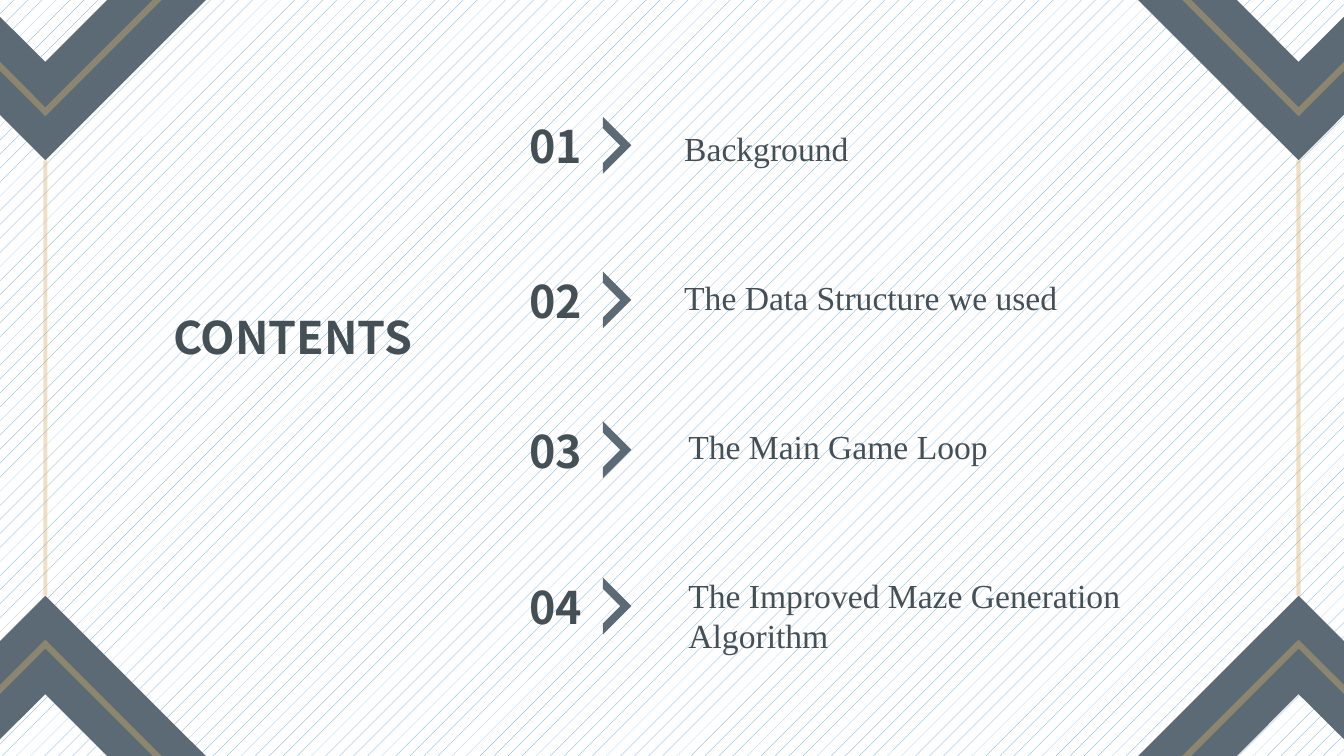
"""Build a contents slide with four numbered topics between corner chevrons."""
from lxml.etree import SubElement
from pptx import Presentation
from pptx.dml.color import RGBColor
from pptx.enum.dml import MSO_PATTERN
from pptx.enum.shapes import MSO_CONNECTOR, MSO_SHAPE
from pptx.enum.text import MSO_AUTO_SIZE, PP_ALIGN
from pptx.oxml.ns import qn
from pptx.util import Pt

WIDTH, HEIGHT = 960, 540
SLATE, GOLD, INK = "5B6A74", "D7B26C", "444F56"
SANS, SERIF = "Noto Sans CJK SC", "Times New Roman"

TOPICS = [
    ("Background", 81.4, 481.7, 216, 36),
    ("The Data Structure we used", 191.8, 481.7, 294, 36),
    ("The Main Game Loop", 298.8, 484.6, 245, 36),
    ("The Improved Maze Generation Algorithm", 410.4, 484.6, 384, 65.5),
]
TOPIC_TOP, TOPIC_PITCH = 87.8, 106.4
APEX_X, APEX_Y = 32.4, 114.5
BAND = [(76.5, 0), (147, 0), (APEX_X, APEX_Y), (0, 82), (0, 12), (APEX_X, 44.2)]
STRIPE = [(-3, 44.5), (APEX_X, 79.9), (116.6, -4.3)]


def color(hex_code):
    return RGBColor.from_string(hex_code)


def gold_line(shape, width):
    shape.line.width = Pt(width)
    shape.line.color.rgb = color(GOLD)
    ln = shape.line._get_or_add_ln()
    SubElement(ln.find(".//" + qn("a:srgbClr")), qn("a:alpha"), val="40000")
    SubElement(ln, qn("a:miter"), lim="800000")


def fill_slate(shape):
    shape.shadow.inherit = False
    shape.fill.solid()
    shape.fill.fore_color.rgb = color(SLATE)
    shape.line.fill.background()


def outline(shapes, points, right, bottom, close):
    placed = [(Pt(WIDTH - x if right else x), Pt(HEIGHT - y if bottom else y))
              for x, y in points]
    builder = shapes.build_freeform(*placed[0])
    builder.add_line_segments(placed[1:], close=close)
    return builder.convert_to_shape()


def add_corner(shapes, right, bottom):
    fill_slate(outline(shapes, BAND, right, bottom, True))
    stripe = outline(shapes, STRIPE, right, bottom, False)
    stripe.shadow.inherit = False
    stripe.fill.background()
    gold_line(stripe, 4.5)


def add_side_line(shapes, x):
    side = shapes.add_connector(MSO_CONNECTOR.STRAIGHT, Pt(x), Pt(APEX_Y),
                                Pt(x), Pt(HEIGHT - APEX_Y))
    gold_line(side, 3)
    SubElement(side._element.spPr, qn("a:effectLst"))


def add_text(shapes, text, box, font, size, bold=False, align=PP_ALIGN.LEFT, grow=True):
    frame = shapes.add_textbox(*map(Pt, box)).text_frame
    frame.word_wrap = True
    frame.auto_size = MSO_AUTO_SIZE.SHAPE_TO_FIT_TEXT if grow else MSO_AUTO_SIZE.NONE
    frame.text = text
    paragraph = frame.paragraphs[0]
    paragraph.alignment = align
    style = paragraph.runs[0].font
    style.name, style.size, style.bold = font, Pt(size), bold
    style.color.rgb = color(INK)


def add_topic(shapes, index, topic):
    title, number_top, left, width, height = topic
    chevron = shapes.add_shape(MSO_SHAPE.HALF_FRAME, Pt(416.2), Pt(number_top + 8),
                               Pt(28.8), Pt(28.8))
    chevron.rotation = 135
    chevron.adjustments[0], chevron.adjustments[1] = 0.19, 0.2
    fill_slate(chevron)
    add_text(shapes, f"{index + 1:02}", (361.4, number_top, 71.3, 46), SANS, 32,
             True, PP_ALIGN.CENTER)
    add_text(shapes, title, (left, TOPIC_TOP + index * TOPIC_PITCH, width, height),
             SERIF, 24)


def main():
    deck = Presentation()
    deck.slide_width, deck.slide_height = Pt(WIDTH), Pt(HEIGHT)
    slide = deck.slides.add_slide(deck.slide_layouts[6])
    backdrop = slide.background.fill
    backdrop.patterned()
    backdrop.pattern = MSO_PATTERN.PERCENT_5
    backdrop.fore_color.rgb = color("5B9BD5")
    backdrop.back_color.rgb = color("FFFFFF")

    shapes = slide.shapes
    for right in (True, False):
        for bottom in (False, True):
            add_corner(shapes, right, bottom)
    for x in (APEX_X, WIDTH - APEX_X):
        add_side_line(shapes, x)
    for index, topic in enumerate(TOPICS):
        add_topic(shapes, index, topic)
    add_text(shapes, "CONTENTS", (116.6, 217.4, 198, 86.4), SANS, 32, True,
             PP_ALIGN.JUSTIFY, grow=False)
    deck.save("out.pptx")


if __name__ == "__main__":
    main()
